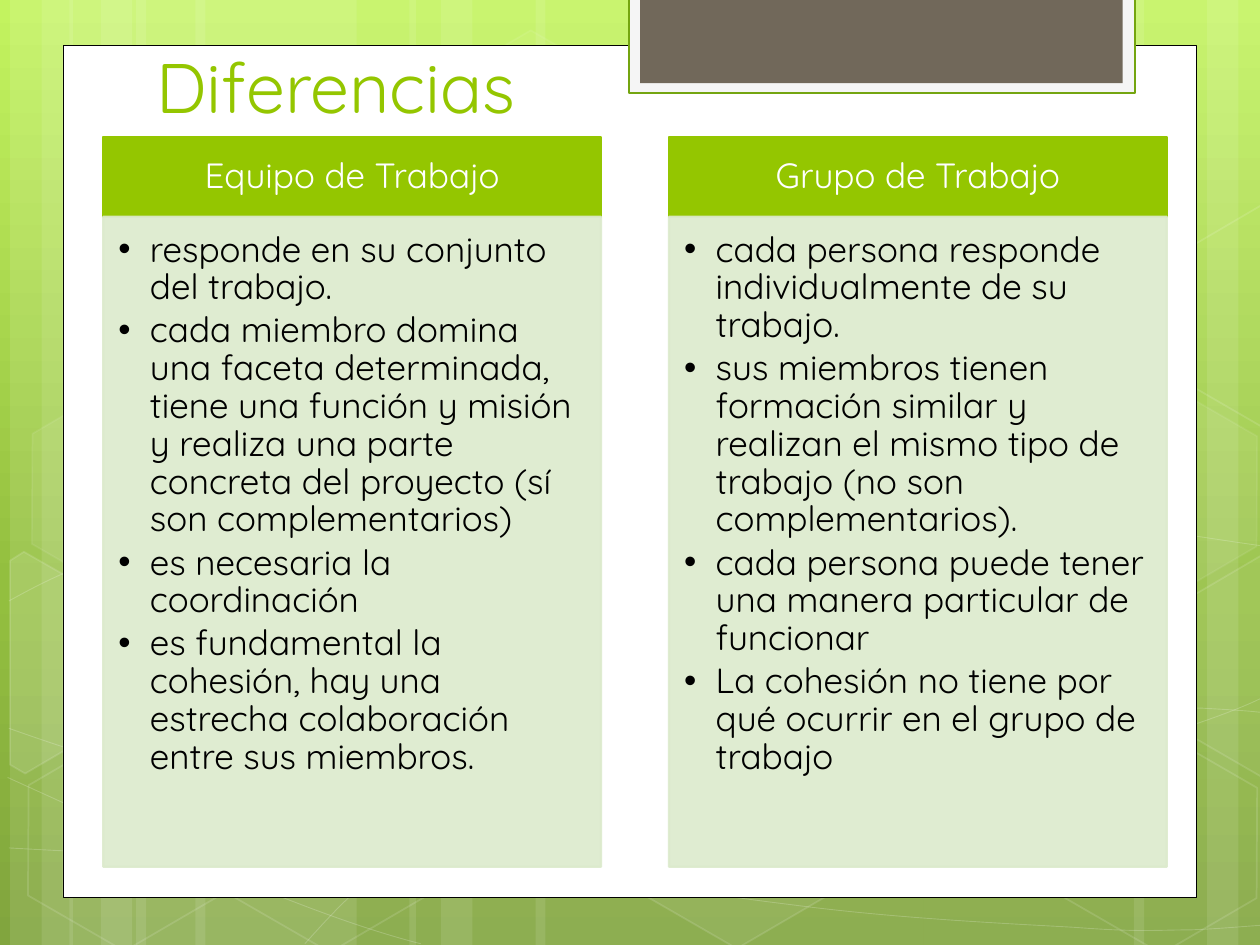
"""Build the slide that compares a work team with a work group."""
from copy import deepcopy

from lxml.etree import SubElement as Sub
from pptx import Presentation
from pptx.dml.color import RGBColor as Rgb
from pptx.enum.shapes import MSO_SHAPE as Kind
from pptx.enum.text import MSO_ANCHOR as Anchor, MSO_AUTO_SIZE as Auto, PP_ALIGN as Align
from pptx.oxml.ns import qn
from pptx.util import Inches, Pt

FONT = "Quicksand"
HUES = {"white": "FFFFFF", "black": "000000", "lime": "94C600", "pale": "DCEACC",
        "frame": "F5F5F5", "edge": "74A510", "tab": "71685A"}
SKY = [(0, "C3F35F"), (0.62, "93BF3F"), (1, "81A53E")]
BARS = [(1.08, 1.75), (0.08, 0.5), (0.33, 0.83), (1.55, 1.75), (0.55, 0.5), (0.8, 0.83),
        (7.33, 1.75), (9.58, 0.5), (9, 0.83), (4.25, 3.08), (3.25, 0.5), (3.5, 0.83)]
WAVES = [
    [(0.07, 6.73), (0.61, 6.76), (1.15, 6.79), (1.9, 6.78), (2.65, 6.77), (3.58, 6.75),
     (4.58, 6.65), (5.58, 6.55), (7, 6.36), (7.92, 6.17), (8.83, 5.98), (9.77, 5.68),
     (10.07, 5.51)],
    [(0.07, 4.77), (0.36, 4.61), (0.65, 4.46), (1.21, 4.31), (1.78, 4.16), (2.59, 3.94),
     (3.47, 3.87), (4.36, 3.8), (5.44, 3.79), (6.54, 3.87), (7.64, 3.95), (9.47, 4.26),
     (10.07, 4.34)],
    [(0.06, 6.17), (1.27, 6.72), (2.47, 7.27), (3.34, 7.49)],
    [(0.07, 5.78), (0.38, 5.89), (0.7, 6), (1.28, 6.16), (1.86, 6.31), (2.73, 6.56),
     (3.57, 6.73), (4.4, 6.9), (5.45, 7.08), (6.28, 7.18), (7.11, 7.29), (8, 7.33),
     (8.53, 7.36), (9.05, 7.4), (9.19, 7.38), (9.45, 7.38), (9.71, 7.37), (9.89, 7.35),
     (10.07, 7.34)],
    [(2.42, 7.49), (2.6, 7.29), (2.78, 7.09), (3.02, 6.91), (3.26, 6.73), (3.6, 6.53),
     (3.88, 6.39), (4.16, 6.25), (4.33, 6.19), (4.7, 6.09), (5.06, 5.99), (5.73, 5.85),
     (6.08, 5.78), (6.44, 5.71), (6.49, 5.71), (6.8, 5.69), (7.11, 5.66), (7.6, 5.63),
     (7.94, 5.62), (8.29, 5.61), (8.86, 5.62), (8.86, 5.62), (9.08, 5.62), (9.31, 5.62),
     (9.53, 5.62), (9.71, 5.63), (9.88, 5.64), (9.97, 5.65), (10.06, 5.66), (10.03, 5.65),
     (10.06, 5.66)],
]
CELLS = [(3.34, 0.36, 4, 8), (4.97, 5.89, 6, 12), (0.11, 5.91, 0, 12), (0.14, 3.12, 7, 8),
         (1.74, 5.92, 0, 12), (7.53, 4.53, 10, 12), (8.34, 5.93, 0, 12), (8.34, 3.14, 7, 8)]
CUTS = [
    ([(0.08, 4.45), (0.19, 4.38), (0.96, 4.82), (0.95, 5.7), (0.2, 6.14), (0.08, 6.07)], 10),
    ([(9.26, 4.85), (10.01, 4.41), (10.09, 4.46), (10.09, 6.13), (10.02, 6.17),
      (9.26, 5.73)], 4),
    ([(9.26, 2.07), (10.01, 1.63), (10.1, 1.68), (10.09, 3.35), (10.02, 3.39),
      (9.26, 2.95)], 0),
]
LISTS = [
    ("Equipo de Trabajo", [
        "responde en su conjunto del trabajo.",
        "cada miembro domina una faceta determinada, tiene una función y misión y realiza "
        "una parte concreta del proyecto (sí son complementarios)",
        "es necesaria la coordinación",
        "es fundamental la cohesión, hay una estrecha colaboración entre sus miembros."]),
    ("Grupo de Trabajo", [
        "cada persona responde individualmente de su trabajo.",
        "sus miembros tienen formación similar y realizan el mismo tipo de trabajo "
        "(no son complementarios).",
        "cada persona puede tener una manera particular de funcionar",
        "La cohesión no tiene por qué ocurrir en el grupo de trabajo"]),
]


def tint(shape, where, alpha):
    if alpha < 100:
        fill = shape.element.spPr.find(where)
        Sub(fill[0], qn("a:alpha"), val=str(alpha * 1000))


def paint(shape, fill=None, line=None, width=1, clear=100, faint=100):
    if fill:
        shape.fill.solid()
        shape.fill.fore_color.rgb = Rgb.from_string(HUES[fill])
        tint(shape, qn("a:solidFill"), clear)
    else:
        shape.fill.background()
    if line:
        shape.line.color.rgb = Rgb.from_string(HUES[line])
        shape.line.width = Pt(width)
        tint(shape, f"{qn('a:ln')}/{qn('a:solidFill')}", faint)
    else:
        shape.line.fill.background()


def block(slide, box, kind=Kind.RECTANGLE, **look):
    shape = slide.shapes.add_shape(kind, *map(Inches, box))
    shape.shadow.inherit = False
    paint(shape, **look)
    return shape


def trace(slide, spots, close, **look):
    spots = [(Inches(x), Inches(y)) for x, y in spots]
    pen = slide.shapes.build_freeform(*spots[0])
    pen.add_line_segments(spots[1:], close=close)
    shape = pen.convert_to_shape()
    shape.shadow.inherit = False
    paint(shape, **look)
    return shape


def bend(shape):
    """Turn each three straight segments into one Bezier curve."""
    route = shape.element.spPr.find(".//" + qn("a:path"))
    lines = route.findall(qn("a:lnTo"))
    for i in range(0, len(lines), 3):
        curve = Sub(route, qn("a:cubicBezTo"))
        for line in lines[i:i + 3]:
            curve.append(line[0])
            route.remove(line)


def backdrop(slide):
    fill = slide.background.fill
    fill.gradient()
    fill.gradient_angle = 270
    stops = slide.element.find(".//" + qn("a:gsLst"))
    stops.append(deepcopy(stops[0]))
    for stop, (place, hue) in zip(fill.gradient_stops, SKY):
        stop.position = place
        stop.color.rgb = Rgb.from_string(hue)
    for left, width in BARS:
        block(slide, (left, 0, width, 7.5), fill="white", clear=10)
    for knots in WAVES:
        bend(trace(slide, knots, False, line="white", width=0.5, faint=20))
    for left, top, clear, faint in CELLS:
        cell = block(slide, (left, top, 1.75, 1.52), Kind.HEXAGON, line="white",
                     fill="white" if clear else None, clear=clear, faint=faint)
        cell.adjustments[0] = 0.285
        cell.rotation = 30
    for spots, clear in CUTS:
        trace(slide, spots, True, line="white", fill="white" if clear else None,
              clear=clear, faint=12)


def write(holder, box, lines, size, hue, anchor, pads, align=Align.LEFT, ratio=0.9,
          after=0, dots=False):
    holder.left, holder.top, holder.width, holder.height = map(Inches, box)
    holder.element.getparent().append(holder.element)
    frame = holder.text_frame
    frame.text = "\n".join(lines)
    frame.word_wrap = True
    frame.auto_size = Auto.NONE
    frame.vertical_anchor = anchor
    (frame.margin_left, frame.margin_top,
     frame.margin_right, frame.margin_bottom) = map(Inches, pads)
    for para in frame.paragraphs:
        para.alignment = align
        para.line_spacing = ratio
        para.space_before = Pt(0)
        para.space_after = Pt(after)
        if dots:
            props = para._p.get_or_add_pPr()
            props.set("marL", str(Inches(0.25)))
            props.set("indent", str(-Inches(0.25)))
            Sub(props, qn("a:buFont"), typeface="Arial")
            Sub(props, qn("a:buChar"), char="•")
        font = para.font
        font.name, font.size, font.bold = FONT, Pt(size), False
        font.color.rgb = Rgb.from_string(HUES[hue])


def column(head, body, left, name, items):
    write(head, (left, 1.09, 3.95, 0.63), [name], 20, "white", Anchor.MIDDLE,
          (0.16, 0.09, 0.16, 0.09), align=Align.CENTER)
    paint(head, fill="lime", line="lime", width=1.25)
    write(body, (left, 1.72, 3.95, 5.16), items, 20, "black", Anchor.TOP,
          (0.12, 0.12, 0.16, 0.17), after=3, dots=True)
    paint(body, fill="pale", line="pale", width=1.25, clear=90, faint=90)


def main():
    deck = Presentation()
    deck.slide_width, deck.slide_height = Inches(10), Inches(7.5)
    slide = deck.slides.add_slide(deck.slide_layouts.get_by_name("Comparison"))
    title, *holds = list(slide.placeholders)
    backdrop(slide)
    block(slide, (0.5, 0.36, 9, 6.76), fill="white", line="black", width=0.5)
    block(slide, (4.99, -0.02, 4.02, 0.76), fill="frame", line="edge", width=1.25)
    block(slide, (5.08, -0.02, 3.83, 0.68), fill="tab")
    write(title, (1.14, -0.19, 7.68, 1.25), ["Diferencias"], 40, "lime", Anchor.BOTTOM,
          (0.1, 0.05, 0.1, 0.05), ratio=1)
    for i, (name, items) in enumerate(LISTS):
        column(*holds[2 * i:2 * i + 2], 0.82 + 4.49 * i, name, items)
    deck.save("out.pptx")


if __name__ == "__main__":
    main()
